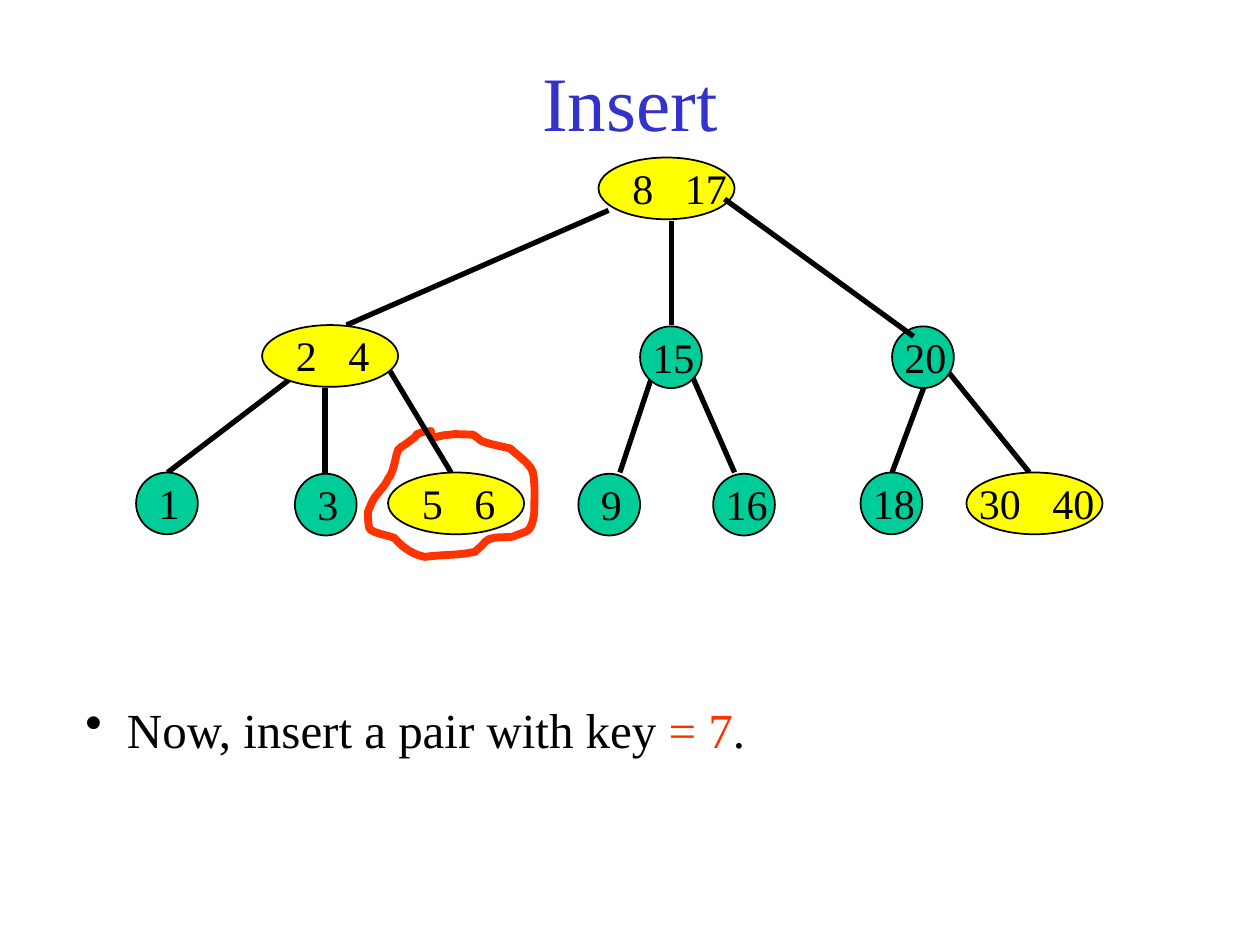
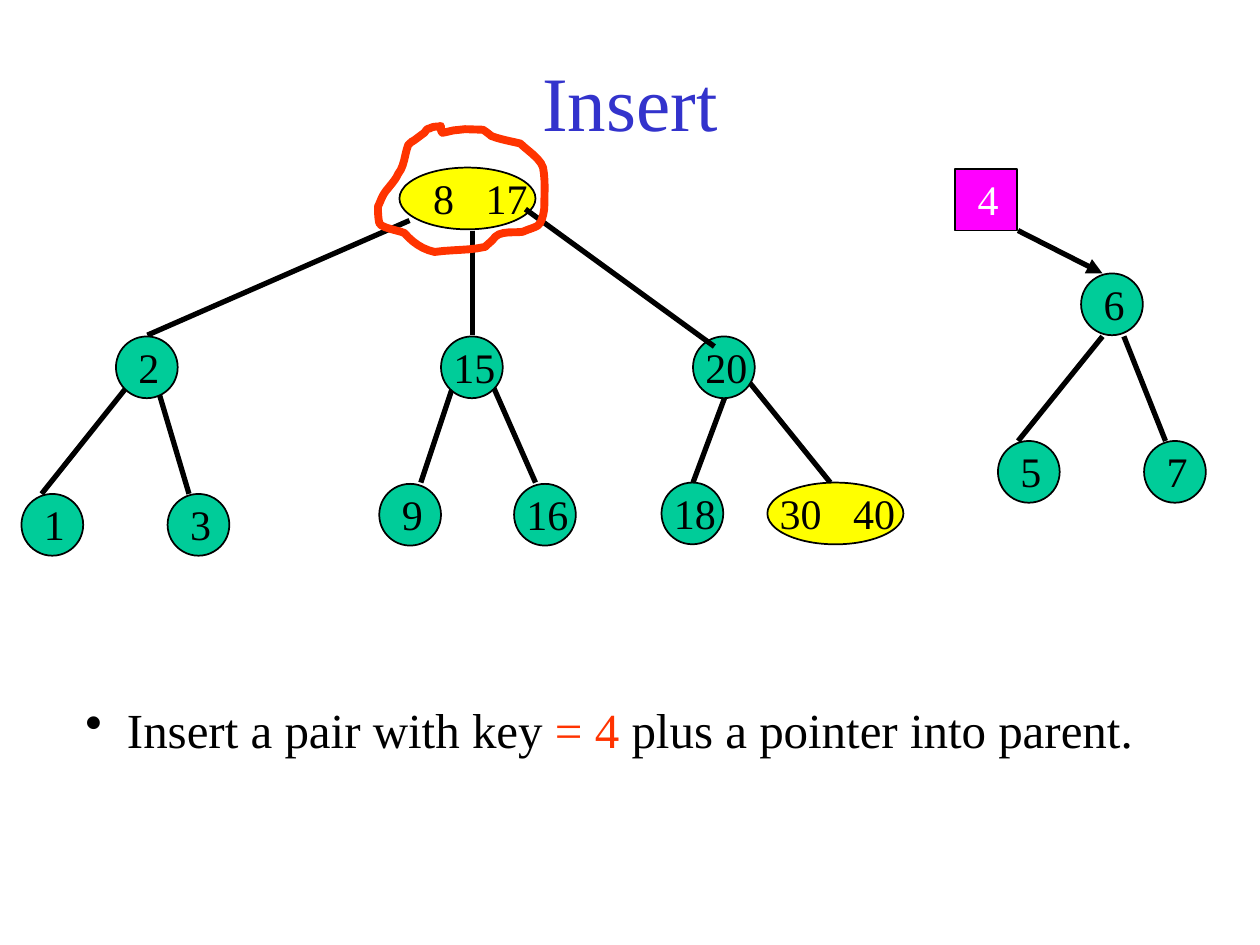
import lxml.etree
import pptx
import pptx.dml.color
import pptx.enum.shapes
import pptx.enum.text
import pptx.oxml.ns
import pptx.util

Inches = pptx.util.Inches
Pt = pptx.util.Pt
qn = pptx.oxml.ns.qn
SHAPE = pptx.enum.shapes.MSO_SHAPE
FONT = "Times New Roman"
BLACK, WHITE, BLUE, RED = "000000", "FFFFFF", "3333CC", "FF3300"
GREEN, YELLOW, MAGENTA = "00CC99", "FFFF00", "FF00FF"
NODE = 0.49       # height of every node, width of a node with one key
PAIR = 1.08       # width of a node with two keys
DIGIT = 1 / 6     # width of a 24 point digit
LABEL_WIDTHS = {1: 0.42, 2: 0.85, 3: 0.83, 4: 1.5, 5: 1.5}

# Part of the tree that both slides show, relative to its root "8 17"
SHARED_NODES = [("8 17", 0, 0), ("15", 0.33, 1.34), ("20", 2.33, 1.34),
                ("9", -0.16, 2.51), ("16", 0.91, 2.51),
                ("18", 2.08, 2.5), ("30 40", 2.92, 2.5)]
SHARED_EDGES = [(0.42, 1.75, 0.17, 2.5), (0.75, 1.75, 1.08, 2.5),
                (2.58, 1.83, 2.33, 2.5), (2.75, 1.67, 3.42, 2.5)]
ROOT_EDGES = [(0.08, 0.42, -2, 1.33), (0.58, 0.5, 0.58, 1.33),
              (1, 0.33, 2.5, 1.42)]

# Hand-drawn loop: start point, then two control points and an end per curve
LOOP_START = (0.5, 0)
LOOP_CURVES = [
    (0.47, 0.01, 0.44, 0, 0.41, 0.02), (0.38, 0.02, 0.38, 0.05, 0.36, 0.06),
    (0.19, 0.19, 0.33, 0.07, 0.24, 0.15), (0.21, 0.23, 0.21, 0.32, 0.16, 0.38),
    (0.14, 0.43, 0.09, 0.48, 0.06, 0.52), (0.03, 0.56, 0.02, 0.6, 0, 0.64),
    (0, 0.68, 0, 0.72, 0.01, 0.77), (0.02, 0.81, 0.17, 0.83, 0.21, 0.85),
    (0.27, 0.92, 0.35, 0.98, 0.45, 1), (0.59, 0.98, 0.72, 0.99, 0.85, 0.96),
    (0.88, 0.93, 0.91, 0.91, 0.93, 0.88), (0.98, 0.83, 1.09, 0.85, 1.15, 0.84),
    (1.19, 0.82, 1.24, 0.81, 1.27, 0.79), (1.31, 0.76, 1.32, 0.65, 1.32, 0.65),
    (1.32, 0.54, 1.33, 0.43, 1.31, 0.33), (1.29, 0.26, 1.18, 0.19, 1.13, 0.14),
    (1.05, 0.12, 0.98, 0.11, 0.9, 0.08), (0.9, 0.08, 0.84, 0.03, 0.83, 0.03),
    (0.5, 0, 0.5, 0.12, 0.5, 0)]


def rgb(color):
    return pptx.dml.color.RGBColor.from_string(color)


def add_text(slide, box, runs, size=24, color=BLACK, align="LEFT",
             anchor="TOP", wrap=True):
    """Add a one-paragraph text box; runs is a text or (text, color) pairs."""
    tb = slide.shapes.add_textbox(*map(Inches, box))
    tf = tb.text_frame
    tf.word_wrap = wrap
    tf.vertical_anchor = getattr(pptx.enum.text.MSO_ANCHOR, anchor)
    p = tf.paragraphs[0]
    p.alignment = getattr(pptx.enum.text.PP_ALIGN, align)
    for text, run_color in [(runs, color)] if isinstance(runs, str) else runs:
        r = p.add_run()
        r.text = text
        r.font.name, r.font.size = FONT, Pt(size)
        r.font.color.rgb = rgb(run_color)
    return p


def add_title(slide):
    add_text(slide, (0.75, 0.17, 8.5, 1.25), "Insert", size=44, color=BLUE,
             align="CENTER", anchor="MIDDLE")


def add_bullet(slide, runs):
    p = add_text(slide, (0.58, 5.5, 8.83, 0.57), runs, size=28)
    pPr = p._p.get_or_add_pPr()
    pPr.set("marL", str(Inches(0.33)))
    pPr.set("indent", str(-Inches(0.33)))
    lxml.etree.SubElement(pPr, qn("a:buChar")).set("char", "•")


def add_node(slide, keys, x, y, fill=GREEN, color=BLACK, kind=SHAPE.OVAL):
    pair = " " in keys
    sp = slide.shapes.add_shape(kind, Inches(x), Inches(y),
                                Inches(PAIR if pair else NODE), Inches(NODE))
    sp.shadow.inherit = False
    sp.fill.solid()
    sp.fill.fore_color.rgb = rgb(YELLOW if pair else fill)
    sp.line.color.rgb = rgb(BLACK)
    sp.line.width = Pt(1)
    # Key label, moved right when it starts with a one-digit key
    digits = len(keys.split()[0])
    shift = 0 if digits > 1 else 0.17 if pair else 0.08
    p = add_text(slide, (x + shift, y - 0.01, LABEL_WIDTHS[len(keys)], 0.5),
                 keys.replace(" ", "\t"), color=color, wrap=False)
    if pair:
        tabs = lxml.etree.SubElement(p._p.get_or_add_pPr(), qn("a:tabLst"))
        tab = lxml.etree.SubElement(tabs, qn("a:tab"))
        tab.set("pos", str(Inches(digits * DIGIT + 0.25)))
        tab.set("algn", "l")


def add_edge(slide, x1, y1, x2, y2, arrow=False):
    line = slide.shapes.add_connector(pptx.enum.shapes.MSO_CONNECTOR.STRAIGHT,
                                      *map(Inches, (x1, y1, x2, y2)))
    line.line.color.rgb = rgb(BLACK)
    line.line.width = Pt(3)
    if arrow:
        tail = lxml.etree.SubElement(line.line._get_or_add_ln(), qn("a:tailEnd"))
        tail.set("type", "triangle")
    lxml.etree.SubElement(line._element.spPr, qn("a:effectLst"))


def add_tree(slide, x, y, nodes, edges, top_edges=()):
    """Draw edges, nodes over them, then the edges that lie on top."""
    def draw_edges(group):
        for x1, y1, x2, y2 in group:
            add_edge(slide, x + x1, y + y1, x + x2, y + y2)

    draw_edges(edges)
    for keys, dx, dy in nodes:
        add_node(slide, keys, x + dx, y + dy)
    draw_edges(top_edges)


def add_loop(slide, x, y, steps=6):
    points = [LOOP_START]
    for x1, y1, x2, y2, x3, y3 in LOOP_CURVES:
        x0, y0 = points[-1]
        for t in (i / steps for i in range(1, steps + 1)):
            u = 1 - t
            a, b, c, d = u ** 3, 3 * u * u * t, 3 * u * t * t, t ** 3
            points.append((a * x0 + b * x1 + c * x2 + d * x3,
                           a * y0 + b * y1 + c * y2 + d * y3))
    points = [(Inches(x + px), Inches(y + py)) for px, py in points]
    fb = slide.shapes.build_freeform(*points[0])
    fb.add_line_segments(points[1:], close=True)
    sp = fb.convert_to_shape()
    sp.shadow.inherit = False
    sp.fill.background()
    sp.line.color.rgb = rgb(RED)
    sp.line.width = Pt(4.5)


def add_insert_slide(prs, bullet, root, loop):
    """Add what the slides share: title, bullet, right-hand tree and loop."""
    slide = prs.slides.add_slide(prs.slide_layouts[6])
    add_title(slide)
    add_bullet(slide, bullet)
    add_tree(slide, *root, SHARED_NODES, SHARED_EDGES, ROOT_EDGES)
    add_loop(slide, *loop)
    return slide


def build_key_7_slide(prs):
    slide = add_insert_slide(
        prs, [("Now, insert a pair with key ", BLACK), ("= 7", RED), (".", BLACK)],
        root=(4.75, 1.25), loop=(2.92, 3.42))
    # Left subtree with three children
    add_tree(slide, 2.08, 2.58,
             [("2 4", 0, 0), ("1", -1, 1.17), ("3", 0.26, 1.18), ("5 6", 1, 1.17)],
             [(0.34, 0.34, -0.75, 1.17), (0.5, 0.5, 0.5, 1.17),
              (1, 0.34, 1.5, 1.17)])


def build_key_4_slide(prs):
    slide = add_insert_slide(
        prs, [("Insert a pair with key ", BLACK), ("= 4 ", RED),
              ("plus a pointer into parent.", BLACK)],
        root=(3.17, 1.33), loop=(3, 1))
    # Left subtree
    add_tree(slide, 0.92, 2.67,
             [("2", 0, 0), ("1", -0.75, 1.25), ("3", 0.41, 1.25)],
             [(0.08, 0.41, -0.59, 1.25), (0.33, 0.41, 0.58, 1.25)])
    # Pair to insert, pointing to the new subtree
    add_node(slide, "4", 7.58, 1.34, MAGENTA, WHITE, SHAPE.RECTANGLE)
    add_edge(slide, 8.08, 1.83, 8.75, 2.17, arrow=True)
    add_tree(slide, 8.58, 2.17,
             [("6", 0, 0), ("5", -0.66, 1.33), ("7", 0.5, 1.33)],
             [(0.17, 0.5, -0.5, 1.33), (0.34, 0.5, 0.67, 1.33)])


def main():
    prs = pptx.Presentation()
    prs.slide_width, prs.slide_height = Inches(10), Inches(7.5)
    build_key_7_slide(prs)
    build_key_4_slide(prs)
    prs.save("out.pptx")


if __name__ == "__main__":
    main()
